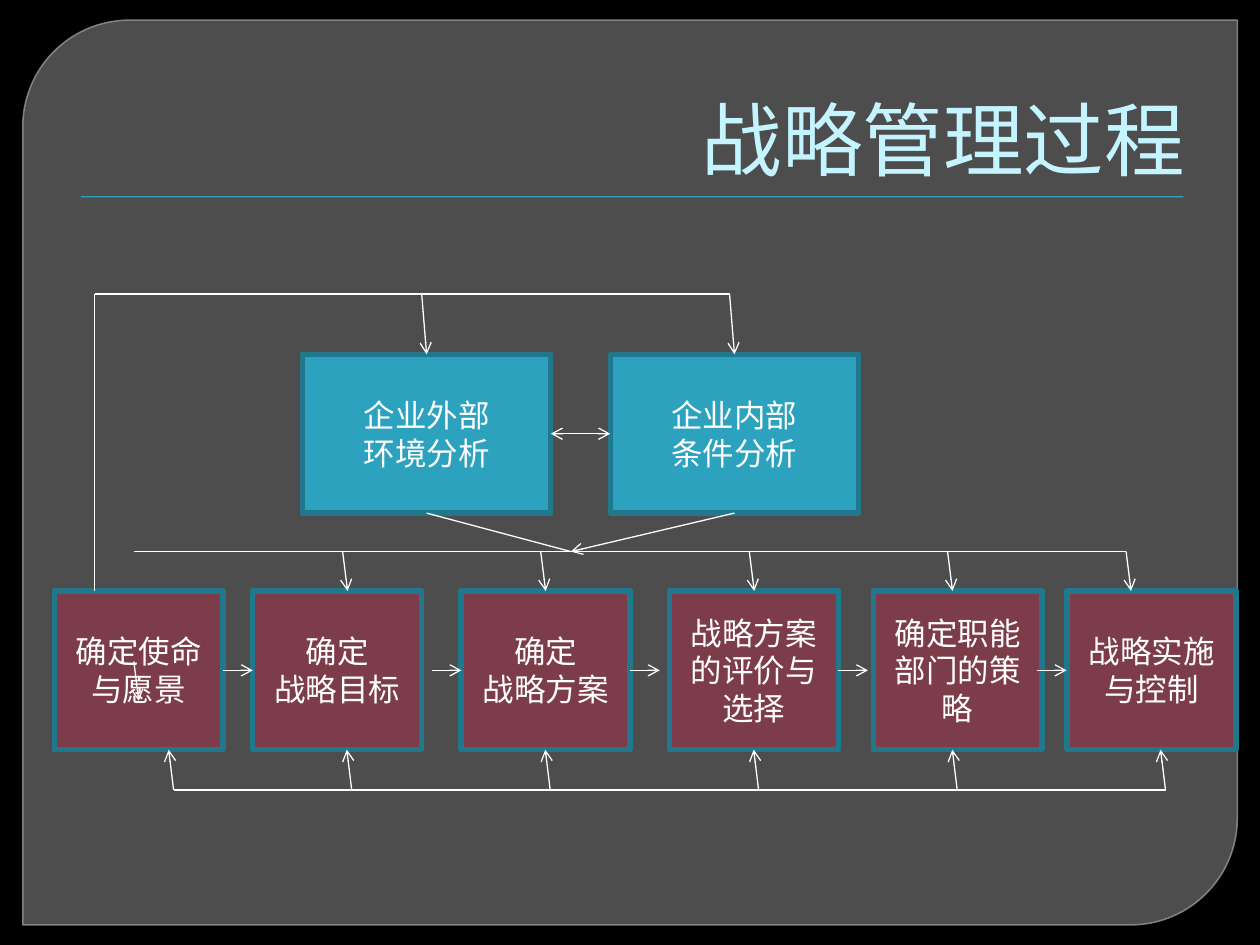
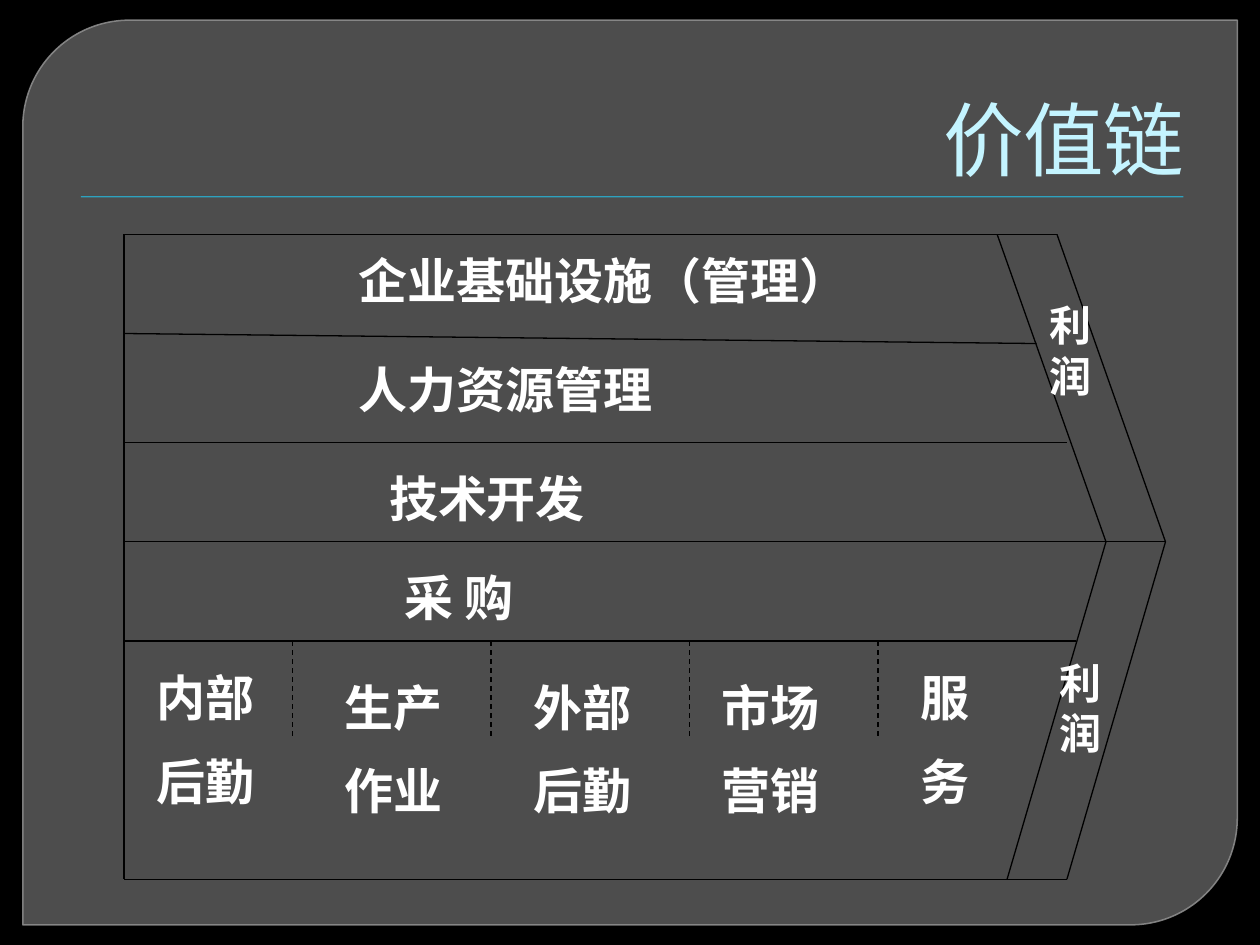
from dataclasses import dataclass

from lxml.etree import SubElement
from pptx import Presentation
from pptx.dml.color import RGBColor
from pptx.enum.dml import MSO_LINE_DASH_STYLE as Dash
from pptx.enum.shapes import MSO_CONNECTOR as Connector, MSO_SHAPE as Preset
from pptx.enum.text import MSO_ANCHOR as Anchor, MSO_AUTO_SIZE as AutoSize, PP_ALIGN as Align
from pptx.oxml.ns import qn
from pptx.util import Pt


@dataclass(frozen=True)
class Theme:
    black: RGBColor = RGBColor(0x00, 0x00, 0x00)
    white: RGBColor = RGBColor(0xFF, 0xFF, 0xFF)
    panel: RGBColor = RGBColor(0x77, 0x77, 0x77)
    panel_edge: RGBColor = RGBColor(0x8E, 0x8E, 0x8E)
    accent: RGBColor = RGBColor(0x2D, 0xA2, 0xBF)
    box_edge: RGBColor = RGBColor(0x21, 0x78, 0x8D)
    step: RGBColor = RGBColor(0x7D, 0x3C, 0x4A)
    title: RGBColor = RGBColor(0xC4, 0xF4, 0xFF)
    box_font: str = "TeX Gyre Bonum"
    chain_font: str = "Times New Roman"
    title_size: int = 46
    box_size: int = 18
    chain_size: int = 28
    profit_size: int = 24


theme = Theme()


def write(text_frame, lines, font, size, color, align=Align.LEFT, bold=False, gap=0):
    """Write one paragraph per line, with gap points between paragraphs."""
    text_frame.word_wrap = True
    for index, line in enumerate(lines):
        paragraph = text_frame.paragraphs[0] if index == 0 else text_frame.add_paragraph()
        paragraph.alignment = align
        if index:
            paragraph.space_before = Pt(gap)
        run = paragraph.add_run()
        run.text = line
        run.font.name = font
        run.font.size = Pt(size)
        run.font.bold = bold
        run.font.color.rgb = color


def draw_line(slide, start, end, color, arrows=(), dash=None):
    """Draw a thin line; arrows names the ends that get a head: headEnd, tailEnd."""
    connector = slide.shapes.add_connector(Connector.STRAIGHT, *(Pt(value) for value in (*start, *end)))
    connector.line.color.rgb = color
    connector.line.width = Pt(0.75)
    if dash:
        connector.line.dash_style = dash
    properties = connector.element.spPr
    for arrow in arrows:
        SubElement(properties.find(qn("a:ln")), qn(f"a:{arrow}"), type="arrow")
    SubElement(properties, qn("a:effectLst"))


presentation = Presentation()
presentation.slide_width = Pt(720)
presentation.slide_height = Pt(540)
layout = presentation.slide_layouts[5]
layout.background.fill.solid()
layout.background.fill.fore_color.rgb = theme.black

process, chain = [presentation.slides.add_slide(layout) for _ in range(2)]
for slide, heading in ((process, "战略管理过程"), (chain, "价值链")):
    title = slide.shapes.title
    title.left, title.top, title.width, title.height = Pt(36), Pt(20.4), Pt(648), Pt(90)
    title.text_frame.vertical_anchor = Anchor.BOTTOM
    title.text_frame.auto_size = AutoSize.NONE
    write(title.text_frame, [heading], theme.box_font, theme.title_size, theme.title, Align.RIGHT)

# Shared panel and title rule, moved to the layout behind its placeholders
panel = process.shapes.add_shape(Preset.ROUND_2_DIAG_RECTANGLE, Pt(13), Pt(11.5), Pt(694), Pt(517))
panel.adjustments[0], panel.adjustments[1] = 0.118, 0
panel.line.color.rgb = theme.panel_edge
panel.line.width = Pt(0.87)
rule = process.shapes.add_shape(Preset.RECTANGLE, Pt(46.2), Pt(112.1), Pt(630), Pt(0.8))
rule.line.fill.background()
for position, (shape, color) in enumerate(((panel, theme.panel), (rule, theme.accent)), start=2):
    shape.shadow.inherit = False
    shape.fill.solid()
    shape.fill.fore_color.rgb = color
    layout.shapes.element.insert(position, shape.element)
for fill_parent, alpha in ((panel.element.spPr, "65000"), (panel.element.spPr.find(qn("a:ln")), "88000")):
    SubElement(fill_parent.find(qn("a:solidFill"))[0], qn("a:alpha"), val=alpha)

# Slide 1: strategic management process
analysis_top, step_top, box_height = 202.5, 337.7, 90.7
analysis_width, step_width = 142, 96.5
boxes = [
    (172.8, analysis_top, analysis_width, theme.accent, ["企业外部", "环境分析"]),
    (348.7, analysis_top, analysis_width, theme.accent, ["企业内部", "条件分析"]),
    (31, step_top, step_width, theme.step, ["确定使命与愿景"]),
    (144.5, step_top, step_width, theme.step, ["确定", "战略目标"]),
    (263.5, step_top, step_width, theme.step, ["确定", "战略方案"]),
    (382.5, step_top, step_width, theme.step, ["战略方案的评价与选择"]),
    (499, step_top, step_width, theme.step, ["确定职能部门的策略"]),
    (609.8, step_top, step_width, theme.step, ["战略实施与控制"]),
]
for left, top, width, color, lines in boxes:
    box = process.shapes.add_shape(Preset.RECTANGLE, Pt(left), Pt(top), Pt(width), Pt(box_height))
    box.shadow.inherit = False
    box.fill.solid()
    box.fill.fore_color.rgb = color
    box.line.color.rgb = theme.box_edge
    box.line.width = Pt(3)
    box.text_frame.vertical_anchor = Anchor.MIDDLE
    write(box.text_frame, lines, theme.box_font, theme.box_size, theme.white, Align.CENTER)

analysis_bottom, step_bottom = analysis_top + box_height, step_top + box_height
top_rail, middle_rail, bottom_rail = 168, 315.2, 451.4
slant = 2.8
step_middle = step_top + box_height / 2
analysis_middle = analysis_top + box_height / 2
junction = (326.2, middle_rail)

plain_lines = [
    ((54, step_top), (54, top_rail)),
    ((54, top_rail), (416.9, top_rail)),
    ((76.5, middle_rail), (643.5, middle_rail)),
    ((99.2, bottom_rail), (666, bottom_rail)),
    ((243.8, analysis_bottom), junction),
]
arrow_lines = [
    ((419.7, analysis_bottom), junction),
    ((76.5, 378), (76.5 + slant, 400.5)),
]
arrow_lines += [((x, top_rail), (x + slant, analysis_top)) for x in (241, 416.9)]
arrow_lines += [((x, middle_rail), (x + slant, step_top)) for x in (195.8, 309, 428.2, 541.5, 643.5)]
arrow_lines += [((x, bottom_rail), (x - slant, step_bottom)) for x in (99.2, 201, 314.4, 433.5, 547, 666)]
arrow_lines += [((x, step_middle), (x + 17, step_middle)) for x in (127.5, 246.7, 360, 479, 592.5)]
for start, end in plain_lines:
    draw_line(process, start, end, theme.white)
for start, end in arrow_lines:
    draw_line(process, start, end, theme.white, ["tailEnd"])
draw_line(process, (314.8, analysis_middle), (348.7, analysis_middle), theme.white, ["headEnd", "tailEnd"])

# Slide 2: value chain
left, top, middle, bottom = 70.9, 133.9, 309.6, 502.4
tip, inner_tip = (666, middle), (632, middle)
chain_lines = [
    ((left, top), (604, top)),
    ((604, top), tip),
    (tip, (609.7, bottom)),
    ((left, top), (left, bottom)),
    ((left, bottom), (609.7, bottom)),
    ((left, middle), tip),
    ((569.8, top), inner_tip),
    (inner_tip, (575.5, bottom)),
    ((left, 190.6), (592.3, 196.3)),
    ((left, 253), (609.7, 253)),
    ((left, 366.3), (615, 366.3)),
]
for start, end in chain_lines:
    draw_line(chain, start, end, theme.black)
for x in (167.2, 280.6, 394, 501.7):
    draw_line(chain, (x, 366.3), (x, 423), theme.black, dash=Dash.DASH)

one_line, two_lines = 41, 91.4
labels = [
    (592.4, 167.7, 45.4, 65.5, theme.profit_size, ["利润"]),
    (598.1, 372, 39.7, 65.5, theme.profit_size, ["利润"]),
    (198, 139.6, 331.6, one_line, theme.chain_size, ["企业基础设施（管理）"]),
    (198, 202, 394.2, one_line, theme.chain_size, ["人力资源管理"]),
    (215.3, 264.4, 321, one_line, theme.chain_size, ["技术开发"]),
    (224, 321, 402.5, one_line, theme.chain_size, ["采 购"]),
    (82.2, 378, 108, two_lines, theme.chain_size, ["内部", "后勤"]),
    (189.8, 383.4, 85, two_lines, theme.chain_size, ["生产", "作业"]),
    (297.6, 383.4, 96.4, two_lines, theme.chain_size, ["外部", "后勤"]),
    (405.4, 383.4, 96.4, two_lines, theme.chain_size, ["市场", "营销"]),
    (518.7, 378, 79.4, two_lines, theme.chain_size, ["服", "务"]),
]
for x, y, width, height, size, lines in labels:
    label = chain.shapes.add_textbox(Pt(x), Pt(y), Pt(width), Pt(height))
    label.text_frame.auto_size = AutoSize.SHAPE_TO_FIT_TEXT
    write(label.text_frame, lines, theme.chain_font, size, theme.white, bold=True, gap=size / 2)

presentation.save("out.pptx")
